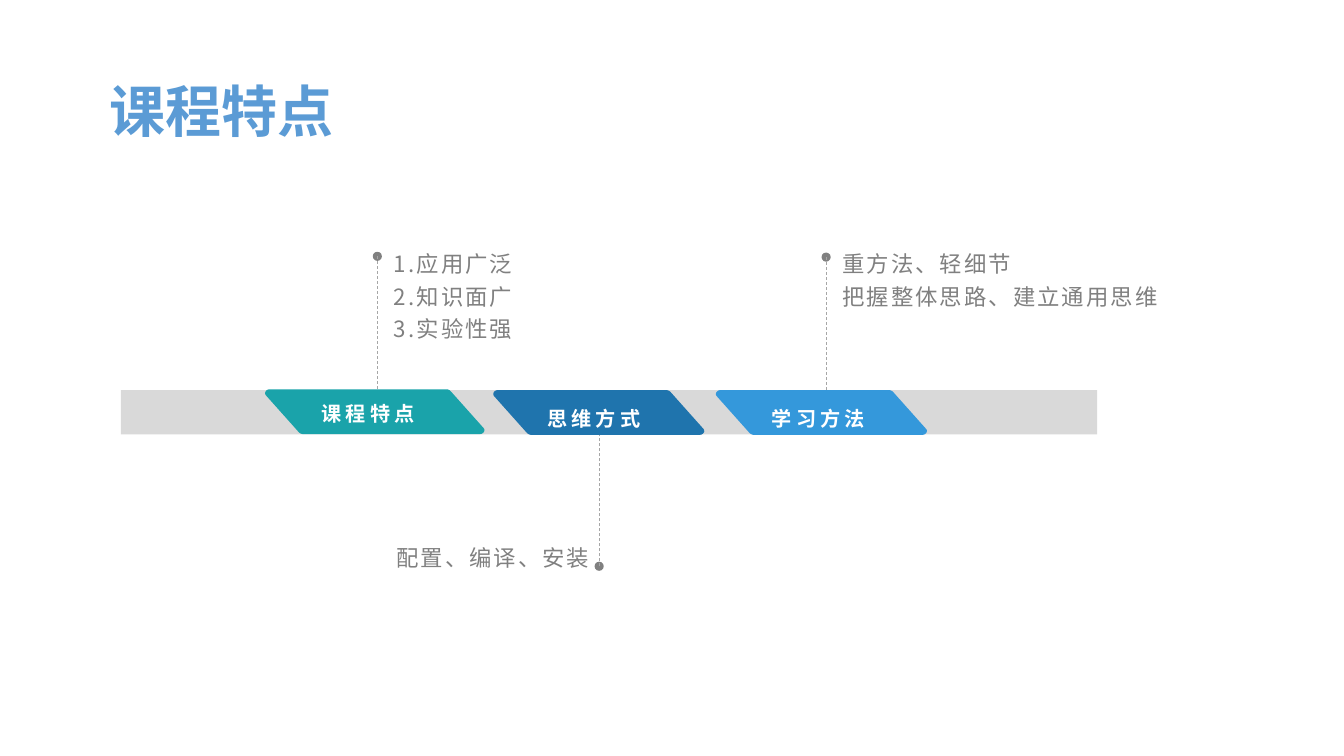
"""Builds the course features slide: a grey band with three slanted tabs and their notes."""
from lxml import etree
from pptx import Presentation
from pptx import util as u
from pptx.dml.color import RGBColor
from pptx.enum import dml, shapes, text
from pptx.oxml import ns

FONT = "Noto Sans CJK SC"
GREY = "808080"


def paint(sp, color):
    sp.shadow.inherit = False
    sp.fill.solid()
    sp.fill.fore_color.rgb = RGBColor.from_string(color)
    sp.line.fill.background()


def write(box, lines, size, leading, color, bold=False, spacing=0, align=text.PP_ALIGN.LEFT, wrap=True):
    tf = s.shapes.add_textbox(*[u.Cm(v) for v in box]).text_frame
    tf.word_wrap = wrap
    tf.text = "\n".join(lines)
    for p in tf.paragraphs:
        p.alignment = align
        p.line_spacing = u.Pt(leading)
        p.font.name = FONT
        p.font.size = u.Pt(size)
        p.font.bold = bold
        p.font.color.rgb = RGBColor.from_string(color)
        props = p._p.pPr.find(ns.qn("a:defRPr"))
        props.set("spc", str(int(spacing * 100)))
        etree.SubElement(props, ns.qn("a:ea"), typeface=FONT)


prs = Presentation()
prs.slide_width, prs.slide_height = u.Cm(33.87), u.Cm(19.05)
s = prs.slides.add_slide(prs.slide_layouts[6])

band = s.shapes.add_shape(shapes.MSO_SHAPE.RECTANGLE, u.Cm(3.05), u.Cm(9.83), u.Cm(24.6), u.Cm(1.12))
paint(band, "D9D9D9")

dot = 0.23
notes = [
    (9.51, 6.46, 9.81, (9.68, 6.05, 4.65, 2.44), text.PP_ALIGN.LEFT,
     ["1.应用广泛", "2.知识面广", "3.实验性强"]),
    (20.82, 6.48, 9.83, (20.98, 6.05, 8.97, 1.63), text.PP_ALIGN.LEFT,
     ["重方法、轻细节", "把握整体思路、建立通用思维"]),
    (15.1, 14.27, 10.92, (9.5, 13.45, 5.61, 1), text.PP_ALIGN.RIGHT,
     ["配置、编译、安装"]),
]
for x, y, band_edge, box, align, lines in notes:
    sp = s.shapes.add_shape(shapes.MSO_SHAPE.OVAL, u.Cm(x - dot / 2), u.Cm(y - dot / 2), u.Cm(dot), u.Cm(dot))
    paint(sp, GREY)
    leader = s.shapes.add_connector(shapes.MSO_CONNECTOR.STRAIGHT, u.Cm(x), u.Cm(y), u.Cm(x), u.Cm(band_edge))
    leader.line.color.rgb = RGBColor.from_string("A6A6A6")
    leader.line.width = u.Pt(0.5)
    leader.line.dash_style = dml.MSO_LINE.DASH
    etree.SubElement(leader._element.spPr, ns.qn("a:effectLst"))
    write(box, lines, 16, 23.2, GREY, spacing=1.5, align=align)

tab_height = 1.13
tabs = [
    (6.65, 9.81, 5.59, "1AA3AA", "课程特点", 7.85, 9.86),
    (12.4, 9.83, 5.38, "1F74AD", "思维方式", 13.54, 9.98),
    (18.01, 9.83, 5.38, "3498DB", "学习方法", 19.2, 9.98),
]
for left, top, width, color, label, label_left, label_top in tabs:
    corners = [
        [(0.05, 0.15), (0, 0.1), (0.05, 0), (0.15, 0)],
        [(width - 1, 0), (width - 0.95, 0), (width - 0.91, 0.02), (width - 0.88, 0.05)],
    ]
    half = []
    for corner in corners:
        for step in range(7):
            t = step / 6
            weights = [(1 - t) ** 3, 3 * t * (1 - t) ** 2, 3 * t ** 2 * (1 - t), t ** 3]
            half.append([sum(w * point[axis] for w, point in zip(weights, corner)) for axis in (0, 1)])
    outline = half + [[width - x, tab_height - y] for x, y in half]
    points = [(u.Cm(left + x), u.Cm(top + y)) for x, y in outline]
    builder = s.shapes.build_freeform(*points[0])
    builder.add_line_segments(points[1:], close=True)
    paint(builder.convert_to_shape(), color)
    write((label_left, label_top, 4.2, 1.02), [label], 14.4, 20.9, "FFFFFF", bold=True, spacing=3)

write((2.51, 1.8, 6.17, 1.96), ["课程特点"], 40, 48, "5B9BD5", bold=True, wrap=False)

prs.save("out.pptx")
